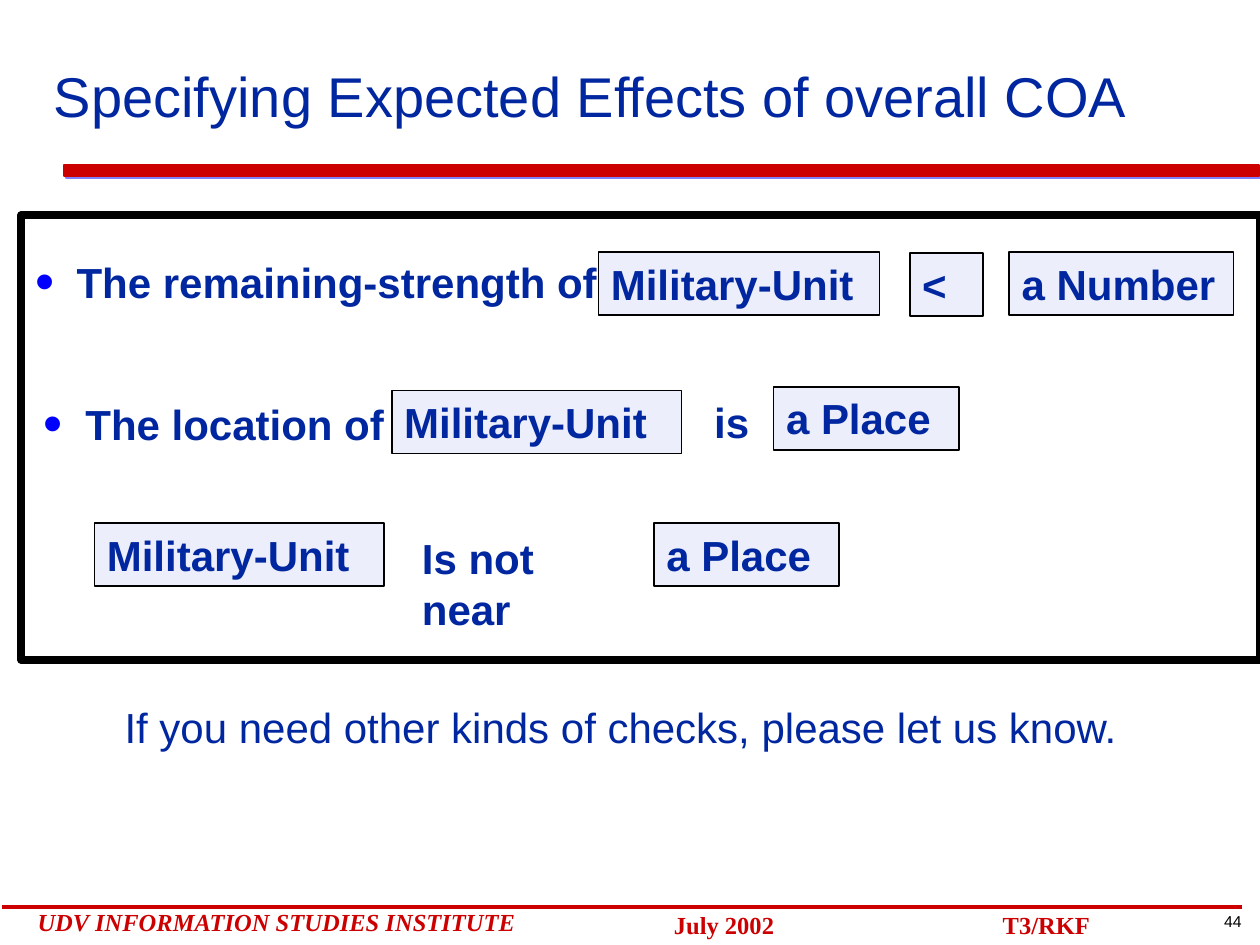
from dataclasses import dataclass

from lxml import etree
from pptx import Presentation
from pptx import util as u
from pptx.dml.color import RGBColor
from pptx.enum import shapes, text
from pptx.oxml import parse_xml
from pptx.oxml.ns import nsdecls, qn

COLORS = {
    "navy": "00279F",
    "red": "CC0000",
    "black": "000000",
    "box": "EDEEFB",
    "bullet": "0000FF",
    "bar_shadow": "8080FF",
}
ROW_HEIGHT = 0.5
BULLET_INDENT = 0.33


@dataclass(frozen=True)
class Term:
    """A piece of a statement: a boxed choice, a bulleted opening or plain words."""
    words: str
    left: float
    top: float
    width: float
    kind: str = "box"


@dataclass(frozen=True)
class FooterItem:
    words: str
    left: float
    top: float
    width: float
    italic: bool = False


TERMS = [
    Term("The remaining-strength of", 0.18, 1.99, 4.66, "bullet"),
    Term("Military-Unit", 4.75, 2.0, 2.23),
    Term("<", 7.22, 2.01, 0.58),
    Term("a Number", 8.01, 2.0, 1.78),
    Term("The location of", 0.25, 3.11, 2.9, "bullet"),
    Term("Military-Unit", 3.11, 3.1, 2.3),
    Term("is", 5.57, 3.1, 0.48, "plain"),
    Term("a Place", 6.14, 3.07, 1.47),
    Term("Military-Unit", 0.75, 4.15, 2.3),
    Term("Is not near", 3.25, 4.18, 1.88, "plain"),
    Term("a Place", 5.19, 4.15, 1.47),
]
FOOTER = [
    FooterItem("UDV INFORMATION STUDIES INSTITUTE", 0.2, 7.15, 4.36, italic=True),
    FooterItem("July 2002", 5.25, 7.17, 1.64),
    FooterItem("T3/RKF", 7.86, 7.17, 1.64),
]


def rgb(name: str) -> RGBColor:
    return RGBColor.from_string(COLORS[name])


def inches(*lengths: float) -> list[u.Length]:
    return [u.Inches(length) for length in lengths]


def write(shape, words: str, *, size: float = 24, font: str = "Arial",
          color: str = "navy", bold: bool = False, italic: bool = False,
          align=text.PP_ALIGN.LEFT, anchor=text.MSO_ANCHOR.TOP, wrap: bool = True):
    frame = shape.text_frame
    frame.word_wrap = wrap
    frame.vertical_anchor = anchor
    paragraph = frame.paragraphs[0]
    paragraph.alignment = align
    run = paragraph.add_run()
    run.text = words
    run.font.size = u.Pt(size)
    run.font.name = font
    run.font.bold = bold
    run.font.italic = italic
    run.font.color.rgb = rgb(color)
    return paragraph


def add_text(slide, words: str, left: float, top: float, width: float,
             height: float, **text_format):
    box = slide.shapes.add_textbox(*inches(left, top, width, height))
    return write(box, words, **text_format)


def add_rectangle(slide, left: float, top: float, width: float, height: float,
                  *, fill: str | None = None, line: str = "black", weight: float = 1):
    shape = slide.shapes.add_shape(shapes.MSO_SHAPE.RECTANGLE,
                                   *inches(left, top, width, height))
    shape.shadow.inherit = False
    if fill:
        shape.fill.solid()
        shape.fill.fore_color.rgb = rgb(fill)
    else:
        shape.fill.background()
    shape.line.color.rgb = rgb(line)
    shape.line.width = u.Pt(weight)
    return shape


def add_bullet(paragraph) -> None:
    properties = paragraph._p.get_or_add_pPr()
    indent = u.Inches(BULLET_INDENT)
    properties.set("marL", str(indent))
    properties.set("indent", str(-indent))
    for markup in (
        f'<a:buClr {nsdecls("a")}><a:srgbClr val="{COLORS["bullet"]}"/></a:buClr>',
        f'<a:buSzPct {nsdecls("a")} val="130000"/>',
        f'<a:buFont {nsdecls("a")} typeface="Arial"/>',
        f'<a:buChar {nsdecls("a")} char="•"/>',
    ):
        properties.append(parse_xml(markup))


def add_term(slide, term: Term) -> None:
    place = (term.left, term.top, term.width, ROW_HEIGHT)
    if term.kind == "box":
        write(add_rectangle(slide, *place, fill="box"), term.words, bold=True)
        return
    paragraph = add_text(slide, term.words, *place, bold=True, wrap=False)
    if term.kind == "bullet":
        add_bullet(paragraph)


def add_title_bar(slide) -> None:
    bar = add_rectangle(slide, 0.51, 1.31, 9.48, 0.09, fill="red", line="red")
    effects = bar._element.spPr.find(qn("a:effectLst"))
    shadow = etree.SubElement(effects, qn("a:outerShdw"), blurRad="0",
                              dist=str(u.Pt(1.4)), dir="2700000", algn="ctr",
                              rotWithShape="0")
    etree.SubElement(shadow, qn("a:srgbClr"), val=COLORS["bar_shadow"])


def add_footer(slide) -> None:
    rule = slide.shapes.add_connector(shapes.MSO_CONNECTOR.STRAIGHT,
                                      *inches(9.86, 7.2, 0.02, 7.2))
    rule.line.color.rgb = rgb("red")
    rule.line.width = u.Pt(2)
    etree.SubElement(rule._element.spPr, qn("a:effectLst"))
    for item in FOOTER:
        add_text(slide, item.words, item.left, item.top, item.width, 0.33, size=14,
                 font="Times New Roman", color="red", bold=True, italic=item.italic)
    add_text(slide, "44", 9.4, 7.19, 0.77, 0.25, size=9, color="black",
             align=text.PP_ALIGN.CENTER, wrap=False)


def main() -> None:
    presentation = Presentation()
    presentation.slide_width, presentation.slide_height = inches(10, 7.5)
    slide = presentation.slides.add_slide(presentation.slide_layouts[6])

    add_title_bar(slide)
    add_footer(slide)
    add_text(slide, "Specifying Expected Effects of overall COA", 0.33, 0.26, 9.25,
             0.81, size=32, anchor=text.MSO_ANCHOR.BOTTOM)
    for term in TERMS:
        add_term(slide, term)
    add_text(slide, "If you need other kinds of checks, please let us know.",
             0.89, 5.52, 8.09, ROW_HEIGHT, wrap=False)
    add_rectangle(slide, 0.17, 1.71, 9.83, 3.53, weight=4.5)

    presentation.save("out.pptx")


if __name__ == "__main__":
    main()
